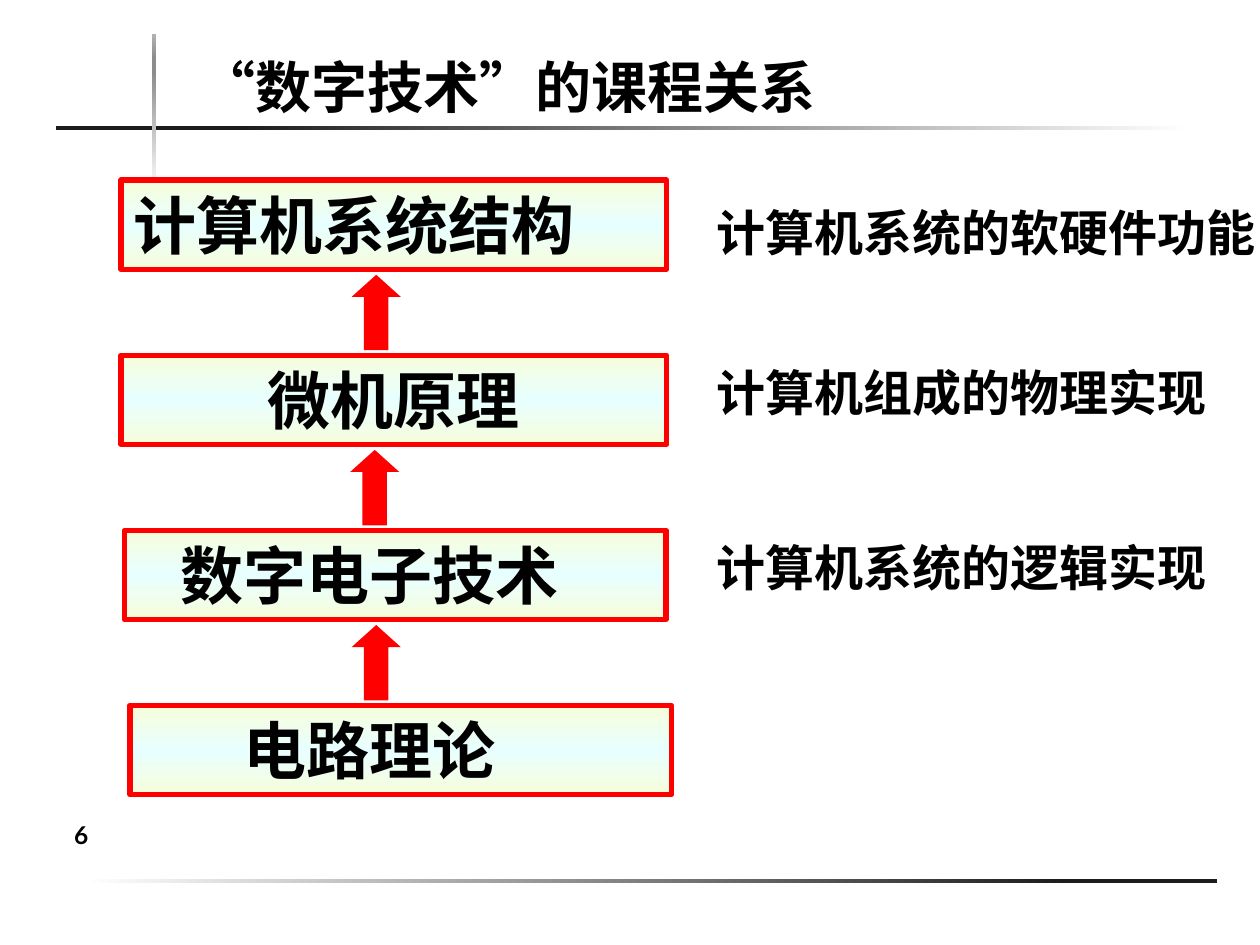
from dataclasses import dataclass
from typing import Optional

from lxml.etree import SubElement
from pptx import Presentation
from pptx.dml.color import RGBColor
from pptx.enum.lang import MSO_LANGUAGE_ID
from pptx.enum.shapes import MSO_SHAPE
from pptx.enum.text import MSO_ANCHOR, MSO_AUTO_SIZE, PP_ALIGN
from pptx.oxml.ns import qn
from pptx.util import Cm, Pt

RED = "FF0000"
BLACK = "000000"
LEVEL_TOP, LEVEL_STEP, LEVEL_HEIGHT = 3.63, 3.53, 1.8
ARROW_OFFSET, ARROW_WIDTH, ARROW_HEIGHT = 1.91, 0.99, 1.52
ROLE_LEFT, ROLE_HEIGHT = 14.2, 1.45
COURSE_STOPS = ((0, "F7FDDB"), (50, "E7FFFF"), (100, "F7FDDB"))


@dataclass(frozen=True)
class Rule:
    left: float
    top: float
    width: float
    height: float
    angle: int
    stops: tuple


@dataclass(frozen=True)
class Role:
    text: str
    top: float
    width: float


@dataclass(frozen=True)
class Course:
    name: str
    left: float
    width: float
    indent: float = 0
    align: PP_ALIGN = PP_ALIGN.LEFT
    arrow_left: Optional[float] = None
    role: Optional[Role] = None


RULES = (
    Rule(1.68, 17.73, 22.86, 0.08, 0, ((0, "FFFFFF"), (87, "1C1C1C"))),
    Rule(1.12, 2.54, 22.86, 0.08, 0, ((16, "1C1C1C"), (100, "FFFFFF"))),
    Rule(3.07, 0.69, 0.08, 2.92, 90,
         ((0, "F2F2F2"), (74, "8C8C8C"), (83, "8C8C8C"), (100, "B2B2B2"))),
)
COURSES = (
    Course("计算机系统结构", 2.44, 11, arrow_left=7.09,
           role=Role("计算机系统的软硬件功能", 3.96, 14.58)),
    Course("微机原理", 2.44, 11, align=PP_ALIGN.CENTER, arrow_left=7.06,
           role=Role("计算机组成的物理实现", 7.19, 12.67)),
    Course("数字电子技术", 2.51, 10.92, indent=0.87, arrow_left=7.09,
           role=Role("计算机系统的逻辑实现", 10.72, 11.28)),
    Course("电路理论", 2.62, 10.92, indent=2.03),
)
TITLE_RUNS = (
    ("“", "Times New Roman"),
    ("数字技术", "Lato"),
    ("”", "Times New Roman"),
    ("的课程关系", "Lato"),
)


def color(hex_code: str) -> RGBColor:
    return RGBColor.from_string(hex_code)


def add_run(paragraph, text: str, size: int, font_name: str) -> None:
    run = paragraph.add_run()
    run.text = text
    run.font.name = font_name
    run.font.size = Pt(size)
    run.font.bold = True
    run.font.color.rgb = color(BLACK)
    run.font.language_id = MSO_LANGUAGE_ID.SIMPLIFIED_CHINESE


def apply_gradient(shape, angle: int, stops: tuple) -> None:
    shape.fill.gradient()
    shape.fill.gradient_angle = angle
    stop_list = shape._element.spPr.find(qn("a:gradFill")).find(qn("a:gsLst"))
    for old_stop in list(stop_list):
        stop_list.remove(old_stop)
    for position, hex_code in stops:
        stop = SubElement(stop_list, qn("a:gs"), pos=str(position * 1000))
        SubElement(stop, qn("a:srgbClr"), val=hex_code)


def add_preset(slide, preset, left: float, top: float, width: float, height: float):
    shape = slide.shapes.add_shape(preset, Cm(left), Cm(top), Cm(width), Cm(height))
    shape.shadow.inherit = False
    shape.line.fill.background()
    return shape


def add_rule(slide, rule: Rule) -> None:
    bar = add_preset(slide, MSO_SHAPE.RECTANGLE, rule.left, rule.top, rule.width, rule.height)
    apply_gradient(bar, rule.angle, rule.stops)


def add_label(slide, text: str, left: float, top: float, width: float, height: float,
              size: int, font_name: str):
    frame = slide.shapes.add_textbox(Cm(left), Cm(top), Cm(width), Cm(height)).text_frame
    frame.word_wrap = True
    add_run(frame.paragraphs[0], text, size, font_name)
    return frame


def add_course(slide, course: Course, top: float) -> None:
    box = add_preset(slide, MSO_SHAPE.RECTANGLE, course.left, top, course.width, LEVEL_HEIGHT)
    apply_gradient(box, 90, COURSE_STOPS)
    box.line.color.rgb = color(RED)
    box.line.width = Pt(3)
    frame = box.text_frame
    frame.word_wrap = True
    frame.auto_size = MSO_AUTO_SIZE.SHAPE_TO_FIT_TEXT
    frame.vertical_anchor = MSO_ANCHOR.TOP
    frame.margin_left = Cm(0.25 + course.indent)
    frame.paragraphs[0].alignment = course.align
    add_run(frame.paragraphs[0], course.name, 36, "Lato")

    if course.arrow_left is not None:
        arrow = add_preset(slide, MSO_SHAPE.UP_ARROW, course.arrow_left, top + ARROW_OFFSET,
                           ARROW_WIDTH, ARROW_HEIGHT)
        arrow.adjustments[0] = 0.5
        arrow.adjustments[1] = 0.45
        arrow.fill.solid()
        arrow.fill.fore_color.rgb = color(RED)
    if course.role is not None:
        role_frame = add_label(slide, course.role.text, ROLE_LEFT, course.role.top,
                               course.role.width, ROLE_HEIGHT, 28, "Arial")
        role_frame.auto_size = MSO_AUTO_SIZE.SHAPE_TO_FIT_TEXT


def fill_title(title) -> None:
    title.left, title.top, title.width, title.height = Cm(3.76), Cm(0.56), Cm(14.88), Cm(1.98)
    frame = title.text_frame
    frame.word_wrap = True
    frame.auto_size = MSO_AUTO_SIZE.NONE
    frame.vertical_anchor = MSO_ANCHOR.BOTTOM
    frame.paragraphs[0].alignment = PP_ALIGN.LEFT
    for text, font_name in TITLE_RUNS:
        add_run(frame.paragraphs[0], text, 32, font_name)


def main() -> None:
    presentation = Presentation()
    presentation.slide_width, presentation.slide_height = Cm(25.4), Cm(19.05)
    slide = presentation.slides.add_slide(presentation.slide_layouts[5])
    for rule in RULES:
        add_rule(slide, rule)
    fill_title(slide.shapes.title)
    for level, course in enumerate(COURSES):
        add_course(slide, course, LEVEL_TOP + level * LEVEL_STEP)
    number_frame = add_label(slide, "6", 0, 15.98, 2.03, 1.27, 14, "Lato")
    number_frame.vertical_anchor = MSO_ANCHOR.BOTTOM
    number_frame.paragraphs[0].alignment = PP_ALIGN.RIGHT
    presentation.save("out.pptx")


if __name__ == "__main__":
    main()
